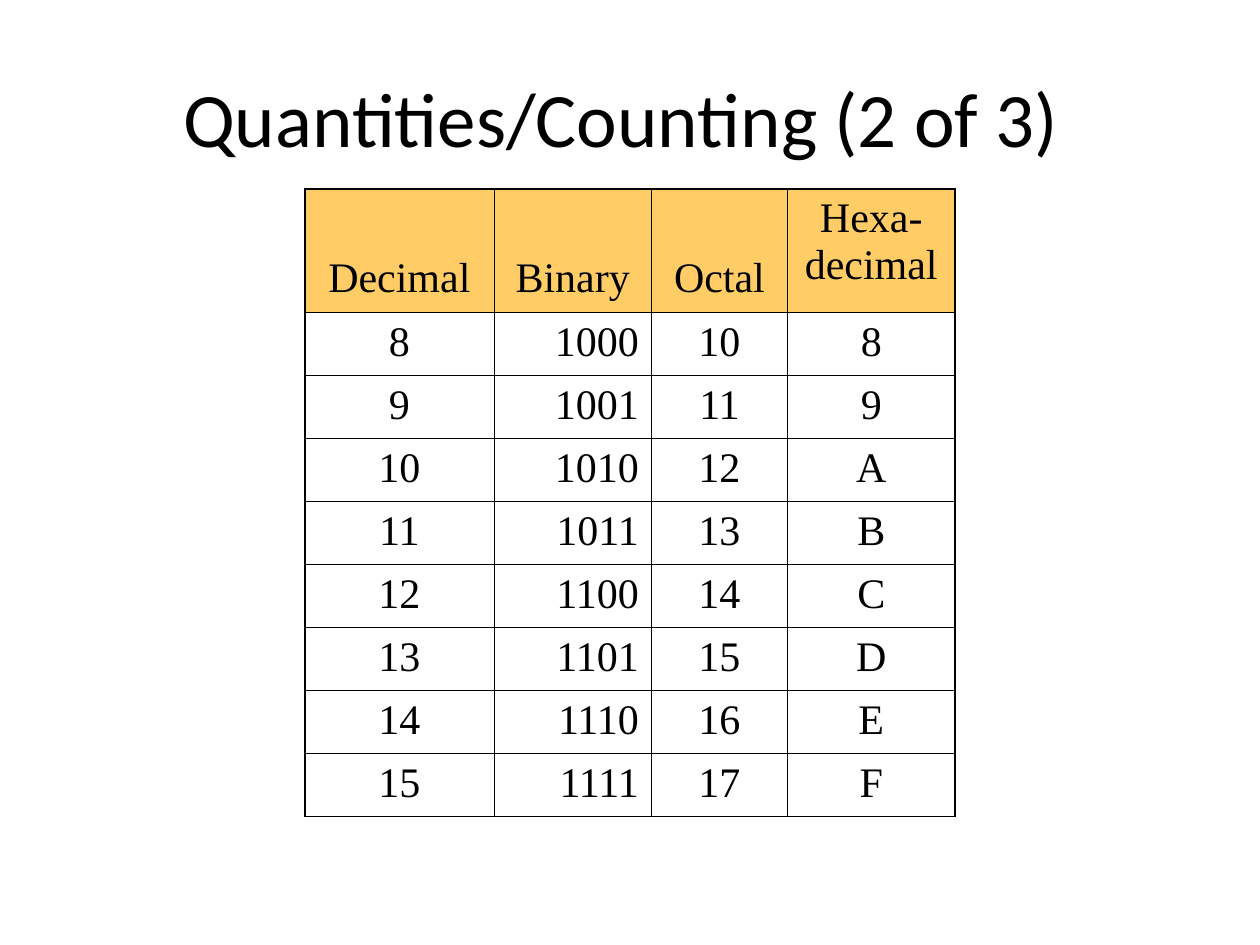
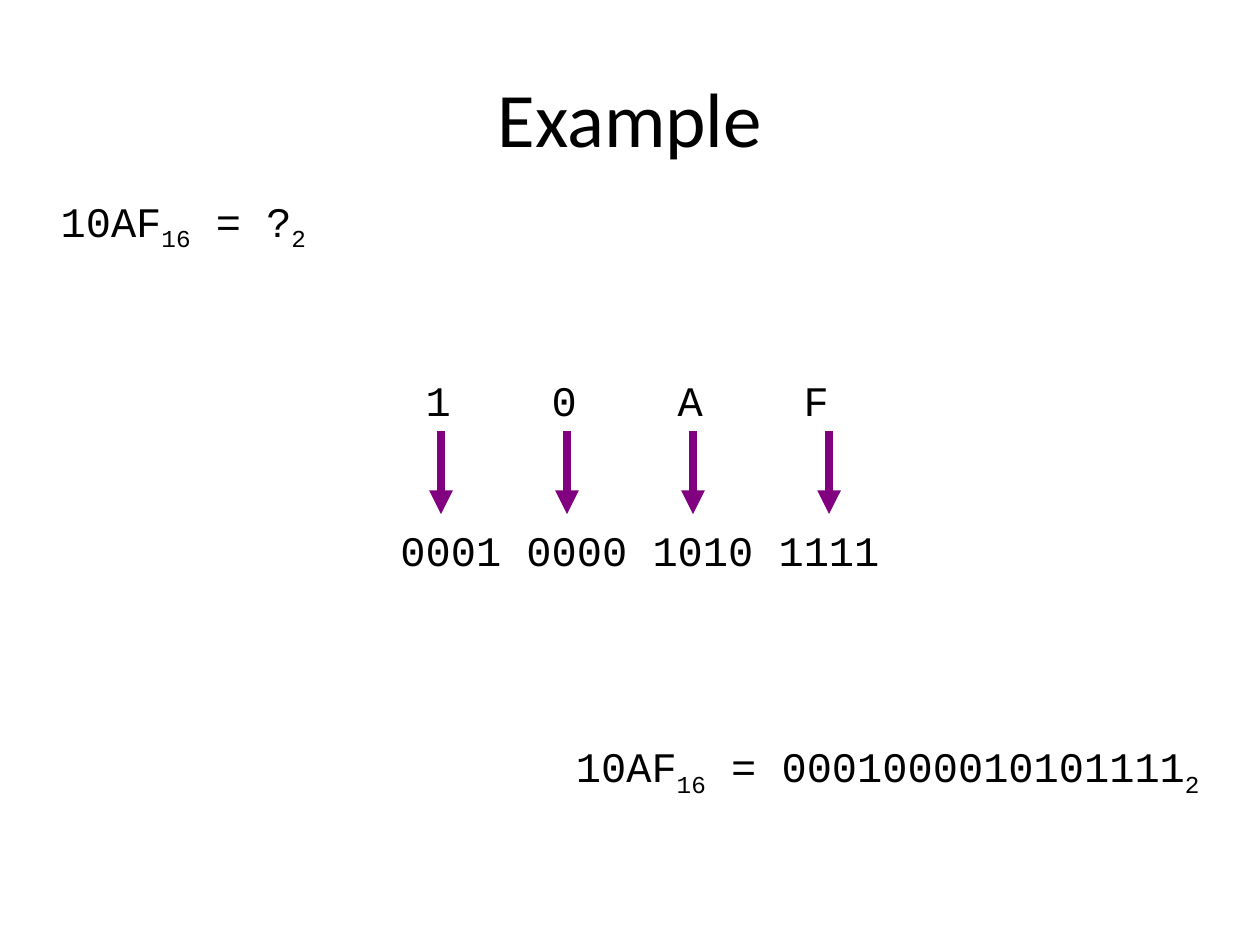
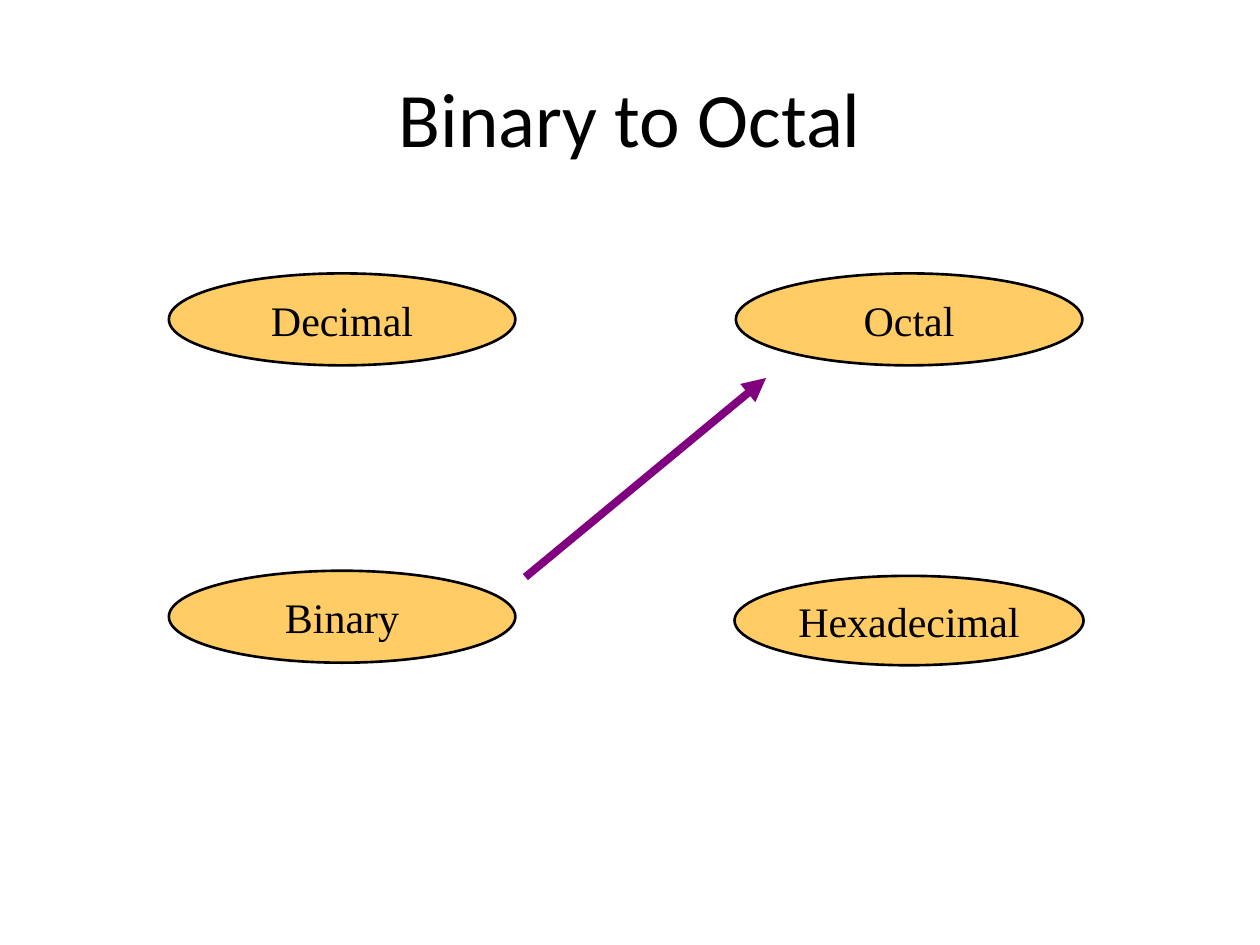
import pptx
import pptx.util
import pptx.dml.color
import pptx.enum.shapes
import pptx.enum.text
import pptx.oxml
import pptx.oxml.ns
from lxml import etree

Inches = pptx.util.Inches
Pt = pptx.util.Pt
RGBColor = pptx.dml.color.RGBColor
ALIGN = pptx.enum.text.PP_ALIGN
ANCHOR = pptx.enum.text.MSO_ANCHOR
qn = pptx.oxml.ns.qn

BLACK = RGBColor(0x00, 0x00, 0x00)
GOLD = RGBColor(0xFF, 0xCC, 0x66)
PURPLE = RGBColor(0x80, 0x00, 0x80)
SANS, SERIF, MONO = "Calibri", "Times New Roman", "Courier New"
TITLE_SIZE, BODY_SIZE = 44, 24

COUNTING_TITLE = "Quantities/Counting (2 of 3) "
COUNTING_ROWS = [
    ("Decimal", "Binary", "Octal", "Hexa-\ndecimal"),
    ("8", "1000", "10", "8"),
    ("9", "1001", "11", "9"),
    ("10", "1010", "12", "A"),
    ("11", "1011", "13", "B"),
    ("12", "1100", "14", "C"),
    ("13", "1101", "15", "D"),
    ("14", "1110", "16", "E"),
    ("15", "1111", "17", "F"),
]
COLUMN_WIDTHS = (1.5, 1.25, 1.08, 1.33)
HEADER_HEIGHT, ROW_HEIGHT = 0.98, 0.5
BINARY_COLUMN = 1
OUTER_BORDER, INNER_BORDER = 1.08, 0.45

EXAMPLE_TITLE = "Example"
EQUATIONS = [
    ((0.33, 1.5, 2.25, 0.56), ("10AF", "16", " = ?", "2")),
    ((4.42, 5.83, 5.25, 0.56), ("10AF", "16", " = 0001000010101111", "2")),
]
HEX_DIGITS = ("1", "0", "A", "F")
NIBBLES = "0001 0000 1010 1111"
ARROW_XS = (3.5, 4.5, 5.5, 6.58)
ARROW_TOP, ARROW_BOTTOM = 3.42, 4.08

CONVERSION_TITLE = "Binary to Octal"
BASES = [
    ("Hexadecimal", (5.83, 4.57, 2.77, 0.71)),
    ("Decimal", (1.34, 2.17, 2.75, 0.73)),
    ("Octal", (5.84, 2.17, 2.75, 0.73)),
    ("Binary", (1.34, 4.53, 2.75, 0.73)),
]
CONVERSION_ARROW = ((4.17, 4.58), (6.08, 3))


def inches(values):
    return [Inches(value) for value in values]


def add_run(paragraph, text, font_name, size=BODY_SIZE, subscript=False):
    run = paragraph.add_run()
    run.text = text
    run.font.name = font_name
    run.font.size = Pt(size)
    run.font.color.rgb = BLACK
    if subscript:
        run._r.get_or_add_rPr().set("baseline", "-25000")


def add_titled_slide(deck, title):
    slide = deck.slides.add_slide(deck.slide_layouts[5])
    heading = slide.shapes.title
    heading.left, heading.top, heading.width, heading.height = inches((0.5, 0.3, 9, 1.25))
    heading.text_frame.vertical_anchor = ANCHOR.MIDDLE
    paragraph = heading.text_frame.paragraphs[0]
    paragraph.alignment = ALIGN.CENTER
    add_run(paragraph, title, SANS, TITLE_SIZE)
    return slide


def add_arrow(slide, start, end):
    arrow = slide.shapes.add_connector(
        pptx.enum.shapes.MSO_CONNECTOR.STRAIGHT, *inches(start + end))
    arrow.line.color.rgb = PURPLE
    arrow.line.width = Pt(4.5)
    etree.SubElement(arrow.line._get_or_add_ln(), qn("a:tailEnd"), type="triangle")
    etree.SubElement(arrow._element.spPr, qn("a:effectLst"))


def add_text_frame(slide, place):
    frame = slide.shapes.add_textbox(*inches(place)).text_frame
    frame.word_wrap = True
    return frame


def set_borders(cell, widths):
    properties = cell._tc.get_or_add_tcPr()
    for position, (side, width) in enumerate(widths.items()):
        border = etree.Element(qn("a:ln" + side), w=str(Pt(width)))
        fill = etree.SubElement(border, qn("a:solidFill"))
        etree.SubElement(fill, qn("a:srgbClr"), val=str(BLACK))
        properties.insert(position, border)


def build_counting(deck):
    slide = add_titled_slide(deck, COUNTING_TITLE)
    last_row, last_column = len(COUNTING_ROWS) - 1, len(COLUMN_WIDTHS) - 1
    height = HEADER_HEIGHT + last_row * ROW_HEIGHT
    table = slide.shapes.add_table(
        last_row + 1, last_column + 1,
        *inches((2.42, 1.5, sum(COLUMN_WIDTHS), height))).table
    table.first_row = table.horz_banding = False
    for column, width in zip(table.columns, COLUMN_WIDTHS):
        column.width = Inches(width)
    for r, values in enumerate(COUNTING_ROWS):
        table.rows[r].height = Inches(ROW_HEIGHT if r else HEADER_HEIGHT)
        for c, value in enumerate(values):
            cell = table.cell(r, c)
            paragraph = cell.text_frame.paragraphs[0]
            paragraph.alignment = ALIGN.RIGHT if r and c == BINARY_COLUMN else ALIGN.CENTER
            for i, line in enumerate(value.split("\n")):
                if i:
                    paragraph.add_line_break()
                add_run(paragraph, line, SERIF)
            if r:
                cell.fill.background()
            else:
                cell.fill.solid()
                cell.fill.fore_color.rgb = GOLD
                if c < last_column:
                    cell.vertical_anchor = ANCHOR.BOTTOM
                    cell.margin_bottom = Inches(0.09)
            on_edge = {"L": c == 0, "R": c == last_column, "T": r == 0, "B": r == last_row}
            set_borders(cell, {side: OUTER_BORDER if edge else INNER_BORDER
                               for side, edge in on_edge.items()})


def build_example(deck):
    slide = add_titled_slide(deck, EXAMPLE_TITLE)
    for place, parts in EQUATIONS:
        paragraph = add_text_frame(slide, place).paragraphs[0]
        paragraph.alignment = ALIGN.CENTER
        for i, part in enumerate(parts):
            add_run(paragraph, part, MONO, subscript=i % 2 == 1)

    frame = add_text_frame(slide, (3.08, 2.92, 4.17, 1.72))
    digits = frame.paragraphs[0]
    tabs = etree.SubElement(digits._p.get_or_add_pPr(), qn("a:tabLst"))
    for i, digit in enumerate(HEX_DIGITS):
        etree.SubElement(tabs, qn("a:tab"), pos=str(Inches(0.2 + i)), algn="l")
        add_run(digits, "\t" + digit, MONO)
    nibbles = frame.add_paragraph()
    nibbles.space_before = Pt(57)
    add_run(nibbles, NIBBLES, MONO)
    for x in ARROW_XS:
        add_arrow(slide, (x, ARROW_TOP), (x, ARROW_BOTTOM))


def build_conversion(deck):
    slide = add_titled_slide(deck, CONVERSION_TITLE)
    for base, place in BASES:
        oval = slide.shapes.add_shape(pptx.enum.shapes.MSO_SHAPE.OVAL, *inches(place))
        oval.shadow.inherit = False
        oval.fill.solid()
        oval.fill.fore_color.rgb = GOLD
        oval.line.color.rgb = BLACK
        oval.line.width = Pt(1.5)
        oval.text_frame.word_wrap = False
        oval.text_frame.vertical_anchor = ANCHOR.MIDDLE
        paragraph = oval.text_frame.paragraphs[0]
        paragraph.alignment = ALIGN.CENTER
        add_run(paragraph, base, SERIF)
    add_arrow(slide, *CONVERSION_ARROW)


def main():
    deck = pptx.Presentation()
    deck.slide_width, deck.slide_height = Inches(10), Inches(7.5)
    build_counting(deck)
    build_example(deck)
    build_conversion(deck)
    deck.save("out.pptx")


if __name__ == "__main__":
    main()
